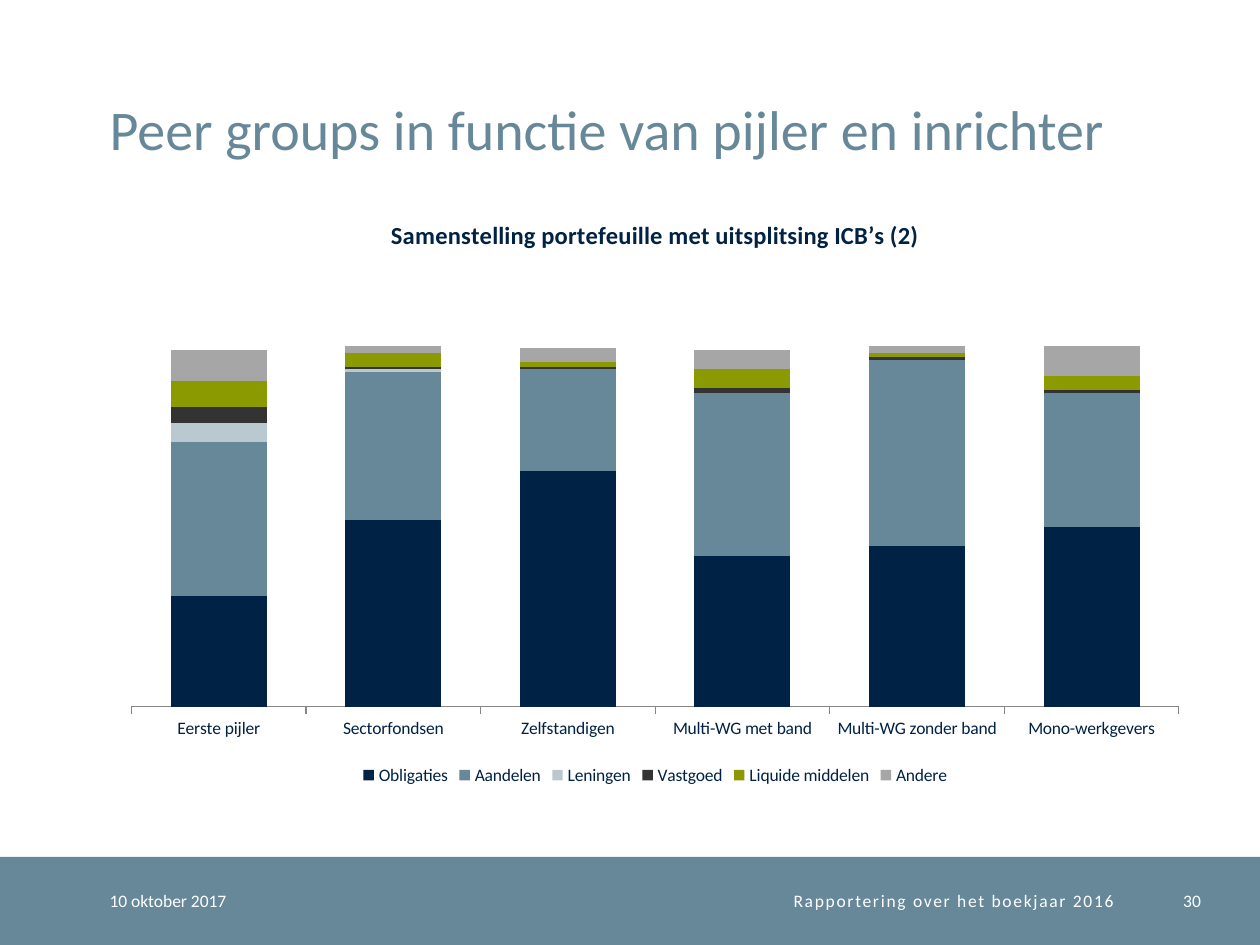
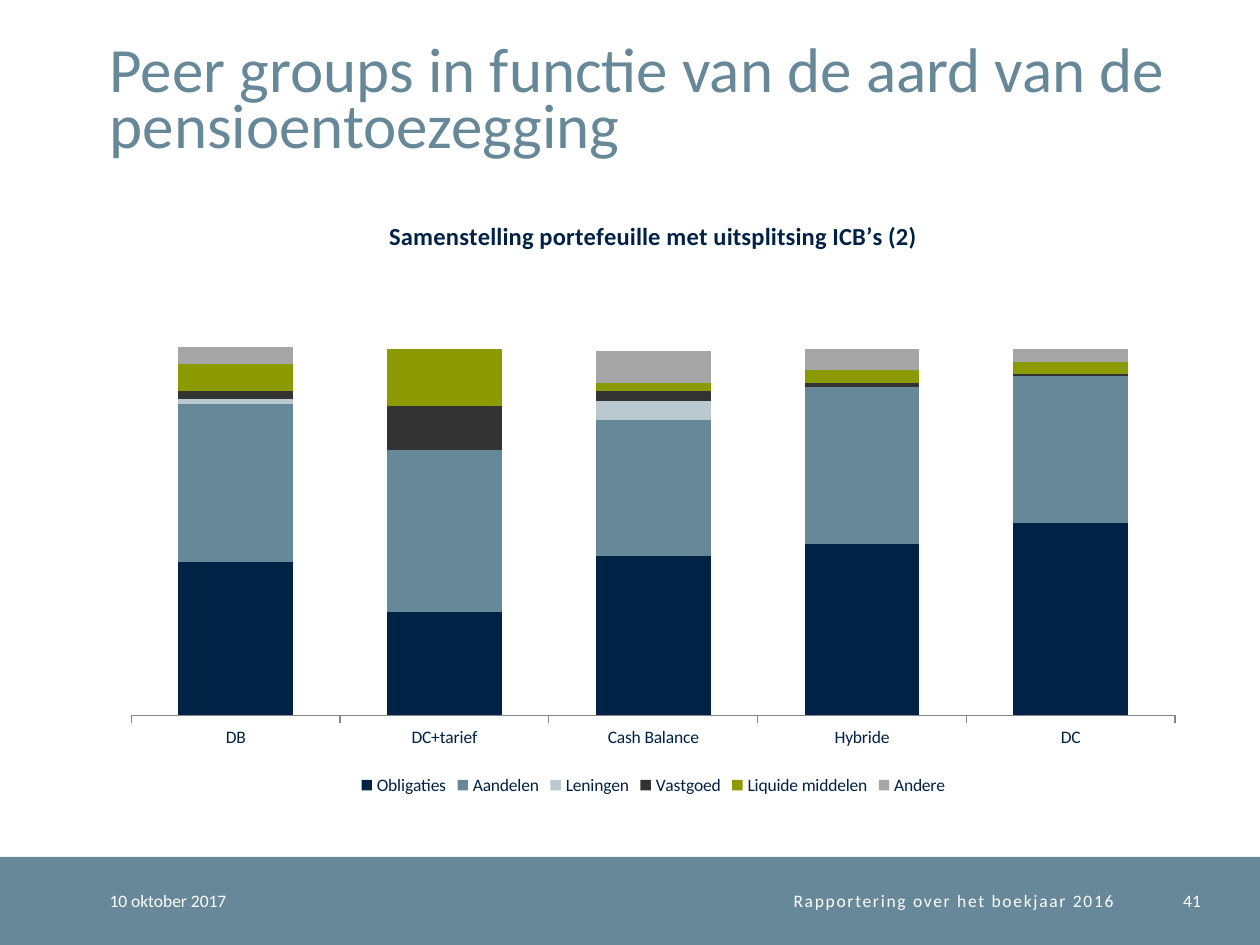
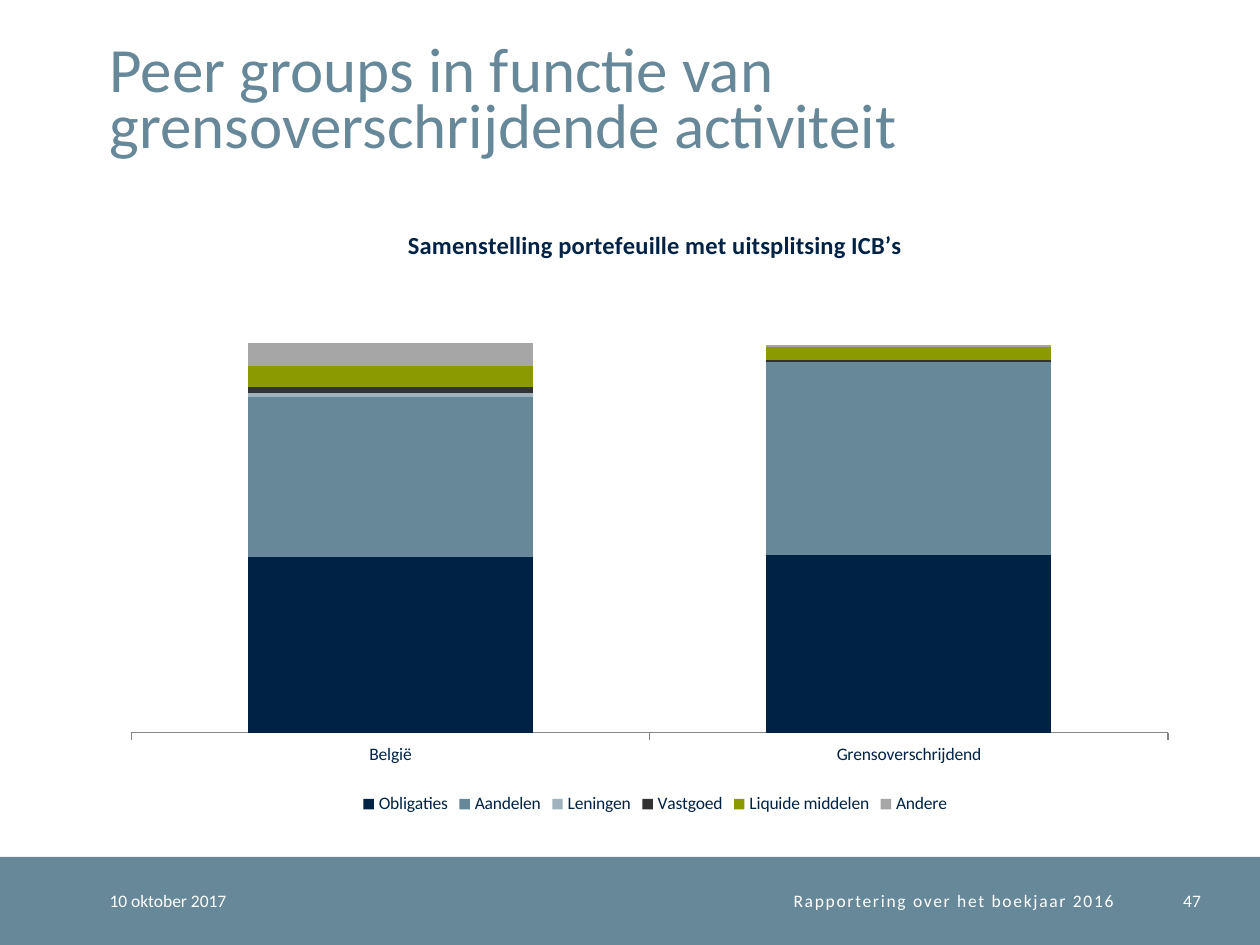
import pptx
import pptx.chart.data
import pptx.dml.color
import pptx.enum.chart
import pptx.enum.shapes
import pptx.enum.text
import pptx.oxml
import pptx.oxml.ns
import pptx.util
from pptx.util import Inches

FONT = "Calibri"
NAVY, STEEL, WHITE = "002244", "668899", "FFFFFF"
PALE_BLUE, GREY_BLUE, AXIS_GREY = "BAC9D0", "9EB3BE", "868686"
SERIES_COLOURS = {
    "Obligaties": NAVY,
    "Aandelen": STEEL,
    "Leningen": PALE_BLUE,
    "Vastgoed": "333333",
    "Liquide middelen": "8B9A00",
    "Andere": "A6A6A6",
}
DATE = "10 oktober 2017"
FOOTER = "Rapportering over het boekjaar 2016"
BAND_TOP, BAND_HEIGHT = 6.8, 0.7
HEADROOM = 1.2
CHART_TITLE = "Samenstelling portefeuille met uitsplitsing ICB’s"
LEFT, RIGHT = pptx.enum.text.PP_ALIGN.LEFT, pptx.enum.text.PP_ALIGN.RIGHT

SLIDES = [
    {
        "title": "Peer groups in functie van pijler en inrichter",
        "title_size": 32,
        "number": 30,
        "chart_title": CHART_TITLE + " (2)",
        "box": (0.87, 1.55, 8.66, 4.72),
        "plot": (0.02, 0.13, 0.96, 0.73),
        "loans_colour": PALE_BLUE,
        "categories": ["Eerste pijler", "Sectorfondsen", "Zelfstandigen",
                       "Multi-WG met band", "Multi-WG zonder band", "Mono-werkgevers"],
        "values": [
            (47, 79, 100, 64, 68, 76),
            (65, 63, 43, 69, 79, 57),
            (8, 1, 0, 0, 0, 0),
            (7, 1, 1, 2, 1, 1),
            (11, 6, 2, 8, 2, 6),
            (13, 3, 6, 8, 3, 13),
        ],
    },
    {
        "title": "Peer groups in functie van de aard van de pensioentoezegging",
        "title_size": 36,
        "number": 41,
        "chart_title": CHART_TITLE + " (2)",
        "box": (0.87, 1.55, 8.63, 4.8),
        "plot": (0.02, 0.13, 0.96, 0.73),
        "loans_colour": PALE_BLUE,
        "categories": ["DB", "DC+tarief", "Cash Balance", "Hybride", "DC"],
        "values": [
            (80, 54, 83, 89, 100),
            (82, 84, 71, 82, 77),
            (3, 0, 10, 0, 0),
            (4, 23, 5, 2, 1),
            (14, 30, 4, 7, 6),
            (9, 0, 17, 11, 7),
        ],
    },
    {
        "title": "Peer groups in functie van grensoverschrijdende activiteit",
        "title_size": 36,
        "number": 47,
        "chart_title": CHART_TITLE,
        "box": (0.87, 1.62, 8.66, 4.88),
        "plot": (0.02, 0.1, 0.95, 0.76),
        "loans_colour": GREY_BLUE,
        "categories": ["België", "Grensoverschrijdend"],
        "values": [(91, 92), (83, 100), (2, 0), (3, 1), (11, 7), (12, 1)],
    },
]


def rgb(colour):
    return pptx.dml.color.RGBColor.from_string(colour)


def set_all(target, values):
    for name, value in values.items():
        setattr(target, name, value)


def format_font(font, size, colour, bold=False):
    set_all(font, {"name": FONT, "size": pptx.util.Pt(size), "bold": bold})
    font.color.rgb = rgb(colour)


def format_frame(frame, anchor):
    set_all(frame, {"margin_left": 0, "margin_top": 0, "margin_right": 0,
                    "margin_bottom": 0, "word_wrap": True, "vertical_anchor": anchor,
                    "auto_size": pptx.enum.text.MSO_AUTO_SIZE.NONE})


def add_title(slide, text, size):
    title = slide.shapes.title
    set_all(title, {"left": Inches(0.87), "top": Inches(0.2),
                    "width": Inches(8.63), "height": Inches(1.08)})
    format_frame(title.text_frame, pptx.enum.text.MSO_ANCHOR.BOTTOM)
    paragraph = title.text_frame.paragraphs[0]
    set_all(paragraph, {"alignment": LEFT, "line_spacing": pptx.util.Pt(32)})
    run = paragraph.add_run()
    run.text = text
    format_font(run.font, size, STEEL)


def add_footer_text(slide, text, left, width, alignment, spacing=0):
    """Write one footer item; spacing is the letter spacing in points."""
    box = slide.shapes.add_textbox(Inches(left), Inches(BAND_TOP),
                                   Inches(width), Inches(BAND_HEIGHT))
    format_frame(box.text_frame, pptx.enum.text.MSO_ANCHOR.MIDDLE)
    paragraph = box.text_frame.paragraphs[0]
    paragraph.alignment = alignment
    run = paragraph.add_run()
    run.text = text
    format_font(run.font, 10, WHITE)
    if spacing:
        run.font._element.set("spc", str(spacing * 100))


def add_footer(slide, number):
    band = slide.shapes.add_shape(pptx.enum.shapes.MSO_SHAPE.RECTANGLE, 0,
                                  Inches(BAND_TOP), Inches(10), Inches(BAND_HEIGHT))
    band.shadow.inherit = False
    band.fill.solid()
    band.fill.fore_color.rgb = rgb(STEEL)
    band.line.fill.background()
    add_footer_text(slide, DATE, 0.87, 1.77, LEFT)
    add_footer_text(slide, FOOTER, 2.64, 6.2, RIGHT, spacing=1)
    add_footer_text(slide, str(number), 9.04, 0.49, RIGHT)


def place_plot(chart, fractions):
    """Fix the inner plot area, in fractions of the chart's width and height."""
    settings = [("layoutTarget", "inner"), ("xMode", "edge"), ("yMode", "edge")]
    settings += zip("xywh", fractions)
    children = "".join(f'<c:{name} val="{value}"/>' for name, value in settings)
    layout = pptx.oxml.parse_xml(
        f'<c:layout {pptx.oxml.ns.nsdecls("c")}>'
        f"<c:manualLayout>{children}</c:manualLayout></c:layout>")
    plot_area = chart._chartSpace.chart.plotArea
    for existing in plot_area.findall(pptx.oxml.ns.qn("c:layout")):
        plot_area.remove(existing)
    plot_area.insert(0, layout)


def format_axes(chart, highest_total):
    value_axis, category_axis = chart.value_axis, chart.category_axis
    set_all(value_axis, {"visible": False, "has_major_gridlines": False,
                         "minimum_scale": 0,
                         "maximum_scale": round(highest_total * HEADROOM)})
    set_all(category_axis, {"has_major_gridlines": False,
                            "major_tick_mark": pptx.enum.chart.XL_TICK_MARK.OUTSIDE})
    category_axis.format.line.color.rgb = rgb(AXIS_GREY)
    category_axis.format.line.width = pptx.util.Pt(0.75)


def add_portfolio_chart(slide, content):
    data = pptx.chart.data.CategoryChartData()
    data.categories = content["categories"]
    for name, values in zip(SERIES_COLOURS, content["values"]):
        data.add_series(name, values)
    chart = slide.shapes.add_chart(pptx.enum.chart.XL_CHART_TYPE.COLUMN_STACKED,
                                   *map(Inches, content["box"]), data).chart
    format_font(chart.font, 10, NAVY)
    set_all(chart, {"has_title": True, "has_legend": True})
    set_all(chart.legend, {"position": pptx.enum.chart.XL_LEGEND_POSITION.BOTTOM,
                           "include_in_layout": False})
    run = chart.chart_title.text_frame.paragraphs[0].add_run()
    run.text = content["chart_title"]
    format_font(run.font, 14, NAVY, bold=True)

    plot = chart.plots[0]
    set_all(plot, {"gap_width": 82, "overlap": 100, "vary_by_categories": False})
    colours = {**SERIES_COLOURS, "Leningen": content["loans_colour"]}
    for series in plot.series:
        series.format.fill.solid()
        series.format.fill.fore_color.rgb = rgb(colours[series.name])
    format_axes(chart, max(map(sum, zip(*content["values"]))))
    place_plot(chart, content["plot"])


def main():
    presentation = pptx.Presentation()
    set_all(presentation, {"slide_width": Inches(10), "slide_height": Inches(7.5)})
    title_only = presentation.slide_layouts.get_by_name("Title Only")
    for content in SLIDES:
        slide = presentation.slides.add_slide(title_only)
        add_title(slide, content["title"], content["title_size"])
        add_footer(slide, content["number"])
        add_portfolio_chart(slide, content)
    presentation.save("out.pptx")


if __name__ == "__main__":
    main()
